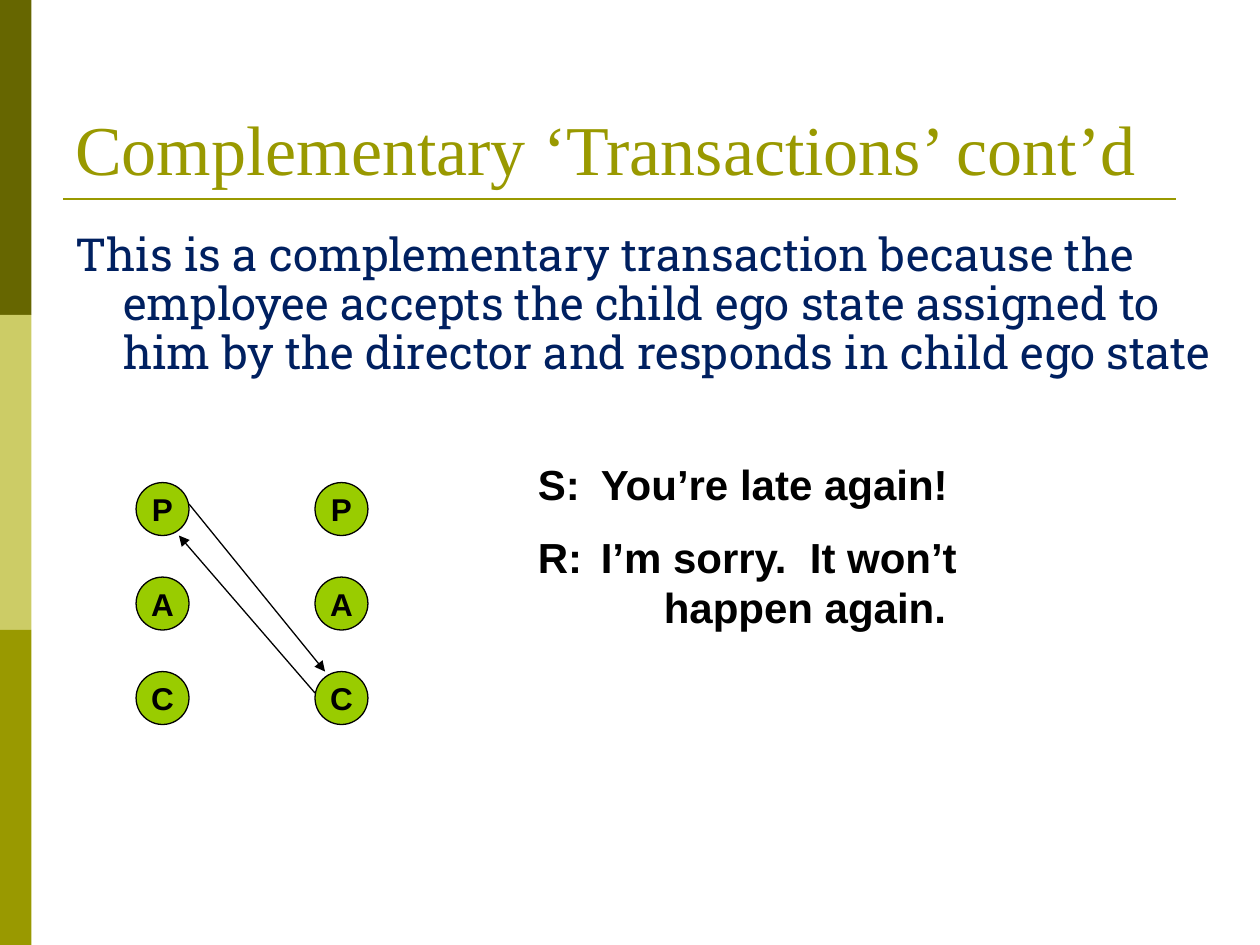
from lxml.etree import SubElement
from pptx import Presentation
from pptx.dml.color import RGBColor
from pptx.enum.shapes import MSO_CONNECTOR as Connector, MSO_SHAPE as Shape
from pptx.enum.text import MSO_ANCHOR as Anchor, PP_ALIGN as Align
from pptx.oxml.ns import qn
from pptx.util import Inches, Pt

TITLE = "Complementary ‘Transactions’ cont’d"
EXPLANATION = (
    "This is a complementary transaction because the employee accepts the child "
    "ego state assigned to him by the director and responds in child ego state"
)
EGO_STATES = ["P", "A", "C"]
DIALOGUE = [
    (["S:\tYou’re late again!"], (4.17, 3.59, 3.98, 0.5)),
    (["R:\tI’m sorry.  It won’t", "\t\thappen again."], (4.17, 4.17, 4.44, 0.9)),
]
MESSAGES = [((1.5, 4), (2.58, 5.33)), ((2.5, 5.5), (1.42, 4.25))]

THEME = {
    "bands": ["666600", "CCCC66", "999900"],
    "accent": "999900", "body": "002060", "ink": "000000", "state": "99CC00",
    "title_font": "Times New Roman", "body_font": "Roboto Slab", "label_font": "Arial",
    "title_size": 40, "body_size": 26, "state_size": 18, "dialogue_size": 24,
}
BAND_WIDTH, BAND_HEIGHT = 0.25, 2.5
STATE_SIZE, STATE_TOP, STATE_STEP = 0.42, 3.83, 0.75
PERSON_LEFTS = [1.08, 2.5]


def color(name):
    return RGBColor.from_string(THEME.get(name, name))


def write(holder, *lines, role, size, ink="ink", bold=False, align=Align.LEFT,
          anchor=Anchor.TOP, wrap=True, hanging=0, spacing=None):
    frame = holder.text_frame
    frame.word_wrap, frame.vertical_anchor = wrap, anchor
    for index, line in enumerate(lines):
        paragraph = frame.add_paragraph() if index else frame.paragraphs[0]
        paragraph.alignment, paragraph.line_spacing = align, spacing
        if hanging:
            properties = paragraph._p.get_or_add_pPr()
            properties.set("marL", str(Inches(hanging)))
            properties.set("indent", str(Inches(-hanging)))
        run = paragraph.add_run()
        run.text = line
        run.font.name, run.font.size = THEME[role], Pt(THEME[size])
        run.font.bold, run.font.color.rgb = bold, color(ink)


def add_box(slide, *place):
    return slide.shapes.add_textbox(*map(Inches, place))


def add_filled(slide, kind, place, fill):
    shape = slide.shapes.add_shape(kind, *map(Inches, place))
    shape.shadow.inherit = False
    shape.fill.solid()
    shape.fill.fore_color.rgb = color(fill)
    shape.line.fill.background()
    return shape


def add_line(slide, start, end, ink, width, arrow=False):
    line = slide.shapes.add_connector(Connector.STRAIGHT, *map(Inches, start + end))
    line.line.color.rgb, line.line.width = color(ink), Pt(width)
    if arrow:
        SubElement(line.line._get_or_add_ln(), qn("a:tailEnd"), type="triangle")
    SubElement(line._element.spPr, qn("a:effectLst"))


def main():
    """Build the slide on complementary transactions."""
    deck = Presentation()
    deck.slide_width, deck.slide_height = Inches(10), Inches(7.5)
    slide = deck.slides.add_slide(deck.slide_layouts[6])

    for index, band in enumerate(THEME["bands"]):
        add_filled(slide, Shape.RECTANGLE,
                   (0, index * BAND_HEIGHT, BAND_WIDTH, BAND_HEIGHT), band)
    add_line(slide, (0.5, 1.58), (9.33, 1.58), "accent", 1.5)

    write(add_box(slide, 0.5, 0.3, 9, 1.25), TITLE, role="title_font",
          size="title_size", ink="accent", anchor=Anchor.BOTTOM)
    explanation = add_box(slide, 0.5, 1.75, 9.25, 4.95)
    explanation.text_frame.margin_top = Inches(0.09)
    write(explanation, EXPLANATION, role="body_font", size="body_size", ink="body",
          hanging=0.38, spacing=0.9)

    for left in PERSON_LEFTS:
        for row, letter in enumerate(EGO_STATES):
            place = (left, STATE_TOP + row * STATE_STEP, STATE_SIZE, STATE_SIZE)
            state = add_filled(slide, Shape.FLOWCHART_CONNECTOR, place, "state")
            state.line.color.rgb, state.line.width = color("ink"), Pt(0.75)
            write(state, letter, role="label_font", size="state_size", bold=True,
                  align=Align.CENTER, anchor=Anchor.MIDDLE, wrap=False)
    for start, end in MESSAGES:
        add_line(slide, start, end, "ink", 0.75, arrow=True)

    for lines, place in DIALOGUE:
        write(add_box(slide, *place), *lines, role="label_font",
              size="dialogue_size", bold=True, wrap=False)

    deck.save("out.pptx")


if __name__ == "__main__":
    main()
